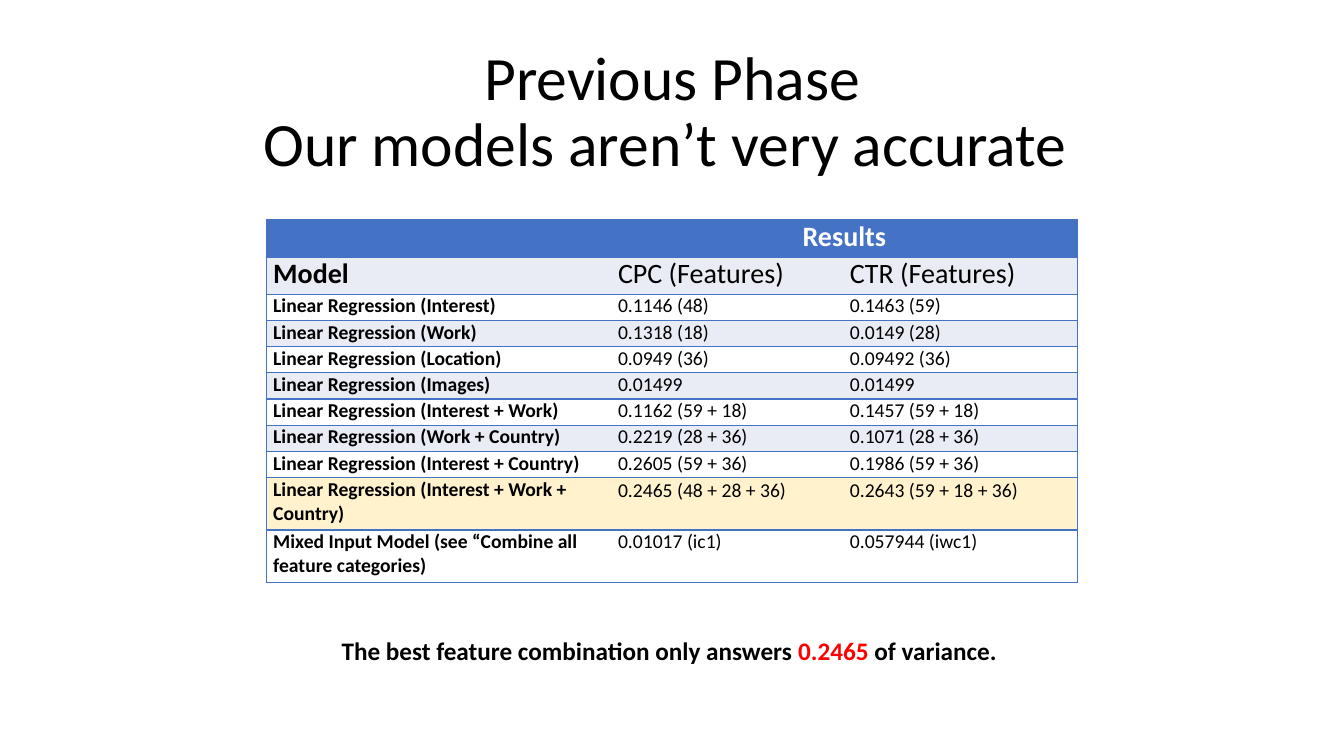
from pptx import Presentation
from pptx.dml.color import RGBColor
from pptx.enum.text import MSO_ANCHOR, PP_ALIGN
from pptx.oxml import parse_xml
from pptx.oxml.ns import nsdecls
from pptx.util import Inches, Pt

SLIDE_WIDTH, SLIDE_HEIGHT = Inches(13.33), Inches(7.5)
TABLE_LEFT, TABLE_TOP = Inches(2.64), Inches(2.18)
COLUMN_WIDTHS = [Inches(3.42), Inches(2.3), Inches(2.33)]
TABLE_WIDTH = sum(COLUMN_WIDTHS)
HEADING_ROW, MODEL_ROW = Inches(0.37), Inches(0.26)
COLORS = {
    "text": "000000",
    "inverse": "FFFFFF",
    "header": "4472C4",
    "band": "E9EBF5",
    "plain": "FFFFFF",
    "best": "FFF2CC",
    "emphasis": "FF0000",
}
HEADINGS = [
    ("", "Results", ""),
    ("Model", "CPC (Features)", "CTR (Features)"),
]
MODELS = [
    ("Linear Regression (Interest)", "0.1146 (48)", "0.1463 (59)"),
    ("Linear Regression (Work)", "0.1318 (18)", "0.0149 (28)"),
    ("Linear Regression (Location)", "0.0949 (36)", "0.09492 (36)"),
    ("Linear Regression (Images)", "0.01499", "0.01499"),
    ("Linear Regression (Interest + Work)", "0.1162 (59 + 18)", "0.1457 (59 + 18)"),
    ("Linear Regression (Work + Country)", "0.2219 (28 + 36)", "0.1071 (28 + 36)"),
    ("Linear Regression (Interest + Country)", "0.2605 (59 + 36)", "0.1986 (59 + 36)"),
    ("Linear Regression (Interest + Work + Country)", "0.2465 (48 + 28 + 36)", "0.2643 (59 + 18 + 36)"),
    ("Mixed Input Model (see “Combine all feature categories)", "0.01017 (ic1)", "0.057944 (iwc1)"),
]
TWO_LINE_MODELS = 2
BEST_ROW = 9


def style_run(run, size, color="text", bold=False):
    run.font.name = "Calibri"
    run.font.size = Pt(size)
    run.font.bold = bold
    run.font.color.rgb = RGBColor.from_string(COLORS[color])


def add_title(slide, text):
    title = slide.shapes.title
    title.left, title.top = Inches(0.92), Inches(0.4)
    title.width, title.height = Inches(11.5), Inches(1.45)
    title.text_frame.text = text
    title.text_frame.vertical_anchor = MSO_ANCHOR.MIDDLE
    heading = title.text_frame.paragraphs[0]
    heading.alignment = PP_ALIGN.CENTER
    heading.line_spacing = 0.9
    for run in heading.runs:
        style_run(run, 44)


def add_borders(cell, column):
    outer_edge = {0: ["lnL"], len(COLUMN_WIDTHS) - 1: ["lnR"]}.get(column, [])
    for side in ["lnL", "lnR", "lnT", "lnB"]:
        visible = side in outer_edge + ["lnT", "lnB"]
        stroke = (
            f'<a:solidFill><a:srgbClr val="{COLORS["header"]}"/></a:solidFill>'
            if visible else "<a:noFill/>"
        )
        cell._tc.get_or_add_tcPr().append(
            parse_xml(f'<a:{side} {nsdecls("a")} w="{Pt(1)}">{stroke}</a:{side}>')
        )


def row_fill(row):
    if row == 0:
        return "header"
    if row == BEST_ROW:
        return "best"
    return "band" if row % 2 else "plain"


def fill_cell(cell, text, row, column):
    cell.margin_left = cell.margin_right = Inches(0.07)
    cell.margin_top = cell.margin_bottom = 0
    add_borders(cell, column)
    cell.fill.solid()
    cell.fill.fore_color.rgb = RGBColor.from_string(COLORS[row_fill(row)])
    cell.text_frame.text = text
    entry = cell.text_frame.paragraphs[0]
    if row == 0:
        entry.alignment = PP_ALIGN.CENTER
    if row == BEST_ROW and column > 0:
        entry.line_spacing = 1.07
    for run in entry.runs:
        style_run(
            run,
            20 if row < len(HEADINGS) else 14,
            "text" if row else "inverse",
            row == 0 or column == 0,
        )


def add_results(slide):
    records = HEADINGS + MODELS
    heights = (
        [HEADING_ROW] * len(HEADINGS)
        + [MODEL_ROW] * (len(MODELS) - TWO_LINE_MODELS)
        + [MODEL_ROW * 2] * TWO_LINE_MODELS
    )
    results = slide.shapes.add_table(
        len(records), len(COLUMN_WIDTHS), TABLE_LEFT, TABLE_TOP, TABLE_WIDTH, sum(heights)
    ).table
    for column, width in zip(results.columns, COLUMN_WIDTHS):
        column.width = width
    for row, (record, height) in enumerate(zip(records, heights)):
        results.rows[row].height = height
        for column, text in enumerate(record):
            fill_cell(results.cell(row, column), text, row, column)
    results.cell(0, 1).merge(results.cell(0, 2))


def add_conclusion(slide, parts):
    conclusion = slide.shapes.add_textbox(TABLE_LEFT, Inches(6.25), TABLE_WIDTH, Inches(0.4))
    conclusion.text_frame.word_wrap = True
    sentence = conclusion.text_frame.paragraphs[0]
    sentence.alignment = PP_ALIGN.CENTER
    for text, color in parts:
        run = sentence.add_run()
        run.text = text
        style_run(run, 18, color, True)


def main():
    deck = Presentation()
    deck.slide_width, deck.slide_height = SLIDE_WIDTH, SLIDE_HEIGHT
    slide = deck.slides.add_slide(deck.slide_layouts.get_by_name("Title Only"))
    add_title(slide, "Previous Phase\vOur models aren’t very accurate ")
    add_results(slide)
    add_conclusion(slide, [
        ("The best feature combination only answers ", "text"),
        ("0.2465", "emphasis"),
        (" of variance. ", "text"),
    ])
    deck.save("out.pptx")


if __name__ == "__main__":
    main()
